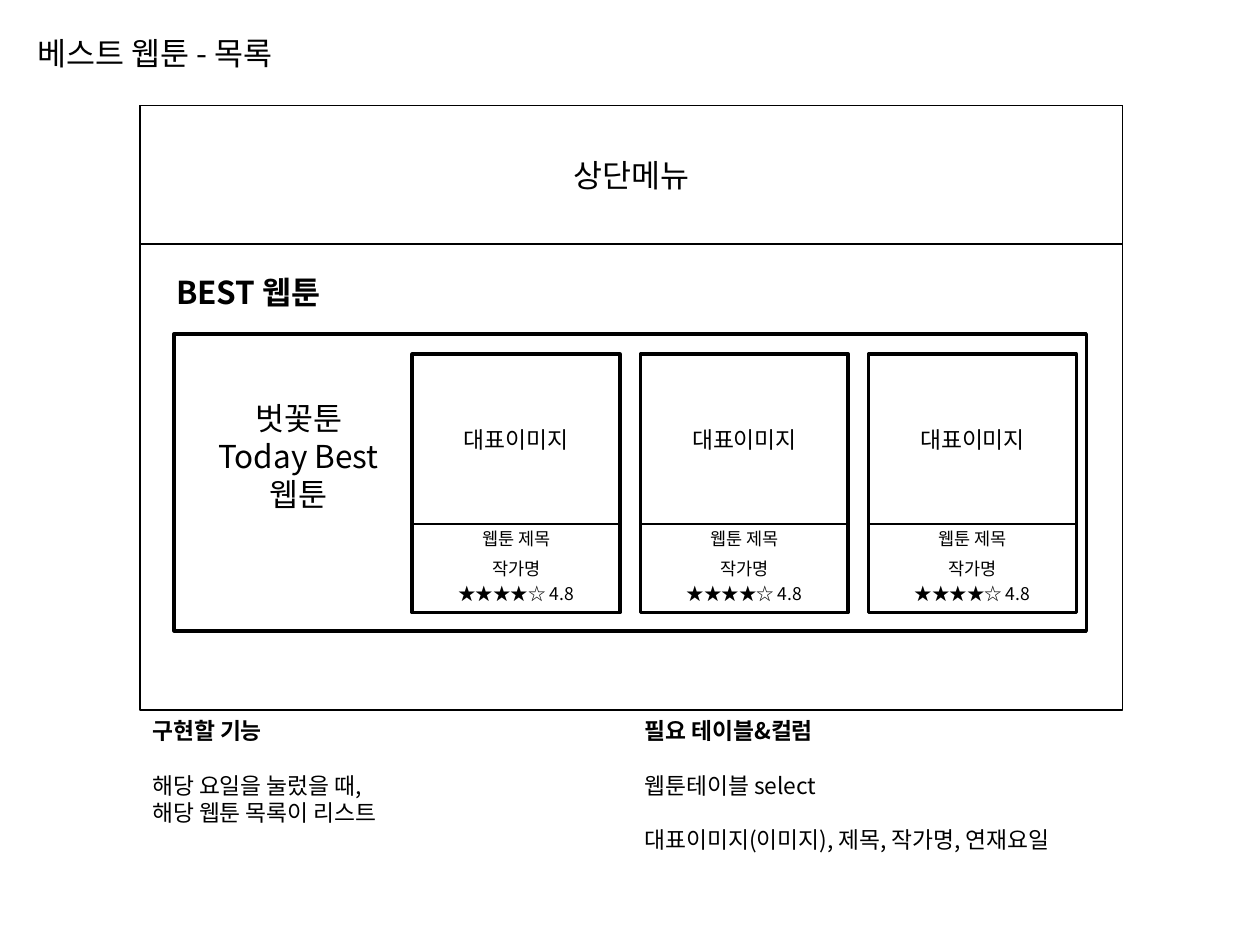
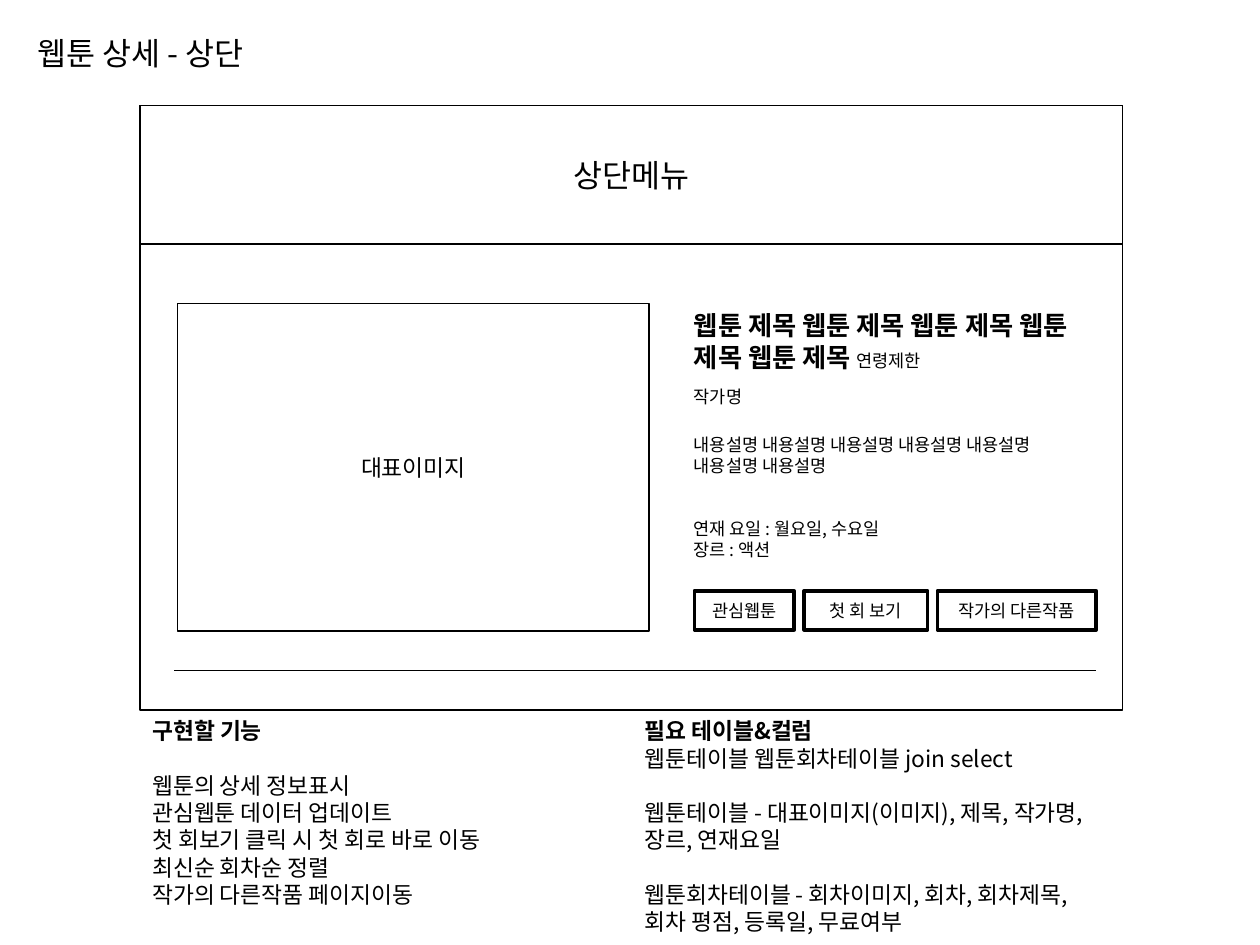
from dataclasses import dataclass
from lxml.etree import SubElement
from pptx import Presentation
from pptx.dml.color import RGBColor
from pptx.enum.shapes import MSO_CONNECTOR, MSO_SHAPE
from pptx.enum.text import MSO_ANCHOR, MSO_AUTO_SIZE, PP_ALIGN
from pptx.oxml.ns import qn
from pptx.util import Cm, Pt


@dataclass(frozen=True)
class Theme:
    font: str = "Noto Sans CJK KR"
    ink: RGBColor = RGBColor(0, 0, 0)
    paper: RGBColor = RGBColor(255, 255, 255)
    heading: int = 18
    subject: int = 15
    body: int = 13
    small: int = 10
    leading: float = 1.2
    thin: float = 1
    thick: float = 2
    rule: float = 0.75


theme = Theme()


def write(frame, lines, align=PP_ALIGN.LEFT):
    frame.word_wrap = True
    for index, (blank_before, runs) in enumerate(lines):
        paragraph = frame.paragraphs[0] if index == 0 else frame.add_paragraph()
        paragraph.alignment = align
        paragraph.line_spacing = Pt(max(size for _, size, _ in runs) * theme.leading)
        paragraph.space_before = Pt(blank_before * theme.leading)
        for words, size, bold in runs:
            run = paragraph.add_run()
            run.text = words
            run.font.size = Pt(size)
            run.font.bold = bold
            run.font.color.rgb = theme.ink
            run.font.name = theme.font
            SubElement(run._r.get_or_add_rPr(), qn("a:ea")).set("typeface", theme.font)


def place(slide, area, lines=(), border=None, filled=True, align=PP_ALIGN.CENTER):
    box = [Cm(length) for length in area]
    if border is None:
        frame = slide.shapes.add_textbox(*box).text_frame
        frame.auto_size = MSO_AUTO_SIZE.SHAPE_TO_FIT_TEXT
    else:
        panel = slide.shapes.add_shape(MSO_SHAPE.RECTANGLE, *box)
        panel.shadow.inherit = False
        if filled:
            panel.fill.solid()
            panel.fill.fore_color.rgb = theme.paper
        else:
            panel.fill.background()
        panel.line.color.rgb = theme.ink
        panel.line.width = Pt(border)
        frame = panel.text_frame
        frame.vertical_anchor = MSO_ANCHOR.MIDDLE
    write(frame, lines, align)


deck = Presentation()
deck.slide_width, deck.slide_height = Cm(25.4), Cm(19.05)

screens = [
    (
        "베스트 웹툰 - 목록",
        [(theme.body, "해당 요일을 눌렀을 때,"), (0, "해당 웹툰 목록이 리스트")],
        [
            (theme.body, "웹툰테이블 select"),
            (theme.body, "대표이미지(이미지), 제목, 작가명, 연재요일"),
        ],
    ),
    (
        "웹툰 상세 - 상단",
        [
            (theme.body, "웹툰의 상세 정보표시"),
            (0, "관심웹툰 데이터 업데이트"),
            (0, "첫 회보기 클릭 시 첫 회로 바로 이동"),
            (0, "최신순 회차순 정렬"),
            (0, "작가의 다른작품 페이지이동"),
        ],
        [
            (0, "웹툰테이블 웹툰회차테이블 join select"),
            (theme.body, "웹툰테이블 - 대표이미지(이미지), 제목, 작가명, 장르, 연재요일"),
            (theme.body, "웹툰회차테이블 - 회차이미지, 회차, 회차제목, 회차 평점, 등록일, 무료여부"),
        ],
    ),
]

for screen_name, features, columns in screens:
    slide = deck.slides.add_slide(deck.slide_layouts[6])
    place(slide, (2.82, 2.13, 19.81, 12.19), border=theme.thin)
    place(slide, (0.51, 0.56, 8.41, 1.02),
          [(0, [(screen_name, theme.heading, False)])], align=PP_ALIGN.LEFT)
    for left, note_title, notes in (
        (2.82, "구현할 기능", features),
        (12.75, "필요 테이블&컬럼", columns),
    ):
        note_lines = [(0, [(note_title, theme.body, True)])]
        note_lines += [(gap, [(words, theme.body, False)]) for gap, words in notes]
        place(slide, (left, 14.33, 9.9, 4.14), note_lines, align=PP_ALIGN.LEFT)
    place(slide, (2.82, 2.13, 19.81, 2.79),
          [(0, [("상단메뉴", theme.heading, False)])], theme.thin)

best_list, detail = deck.slides
cover_label = [(0, [("대표이미지", theme.body, False)])]

place(best_list, (3.3, 5.38, 4.09, 1.02),
      [(0, [("BEST 웹툰", theme.heading, True)])], align=PP_ALIGN.LEFT)
place(best_list, (3.51, 6.73, 18.39, 5.99), border=theme.thick, filled=False)
place(best_list, (3.71, 7.92, 4.62, 2.57),
      [(0, [(words, theme.heading, False)]) for words in ("벗꽃툰", "Today Best", "웹툰")])

card_top, card_width, card_pitch = 7.14, 4.19, 4.6
for position in range(3):
    card_left = 8.31 + position * card_pitch
    place(best_list, (card_left, card_top, card_width, 3.43), cover_label, theme.thin)
    place(best_list, (card_left, card_top, card_width, 5.21), border=theme.thick, filled=False)
    for top, words in ((10.52, "웹툰 제목"), (11.13, "작가명"), (11.63, "★★★★☆ 4.8")):
        place(best_list, (card_left, top, card_width, 0.69),
              [(0, [(words, theme.small, False)])])

place(detail, (3.58, 6.12, 9.5, 6.6), cover_label, theme.thin)
place(detail, (13.74, 6.12, 8.36, 1.55),
      [(0, [("웹툰 제목 웹툰 제목 웹툰 제목 웹툰 제목 웹툰 제목 ", theme.subject, True),
            ("연령제한", theme.small, False)])], align=PP_ALIGN.LEFT)
synopsis = [
    (0, "작가명"),
    (theme.body, "내용설명 내용설명 내용설명 내용설명 내용설명 내용설명 내용설명"),
    (2 * theme.small, "연재 요일 : 월요일, 수요일"),
    (0, "장르 : 액션"),
]
place(detail, (13.74, 7.65, 8.36, 4.37),
      [(gap, [(words, theme.small, False)]) for gap, words in synopsis],
      align=PP_ALIGN.LEFT)

button_left, button_gap = 14, 0.2
for words, width in (("관심웹툰", 2.01), ("첫 회 보기", 2.49), ("작가의 다른작품", 3.2)):
    place(detail, (button_left, 11.91, width, 0.79),
          [(0, [(words, theme.small, False)])], theme.thick)
    button_left += width + button_gap

divider = detail.shapes.add_connector(
    MSO_CONNECTOR.STRAIGHT, Cm(3.51), Cm(13.51), Cm(22.1), Cm(13.51))
divider.line.color.rgb = theme.ink
divider.line.width = Pt(theme.rule)
SubElement(divider._element.spPr, qn("a:effectLst"))

deck.save("out.pptx")
